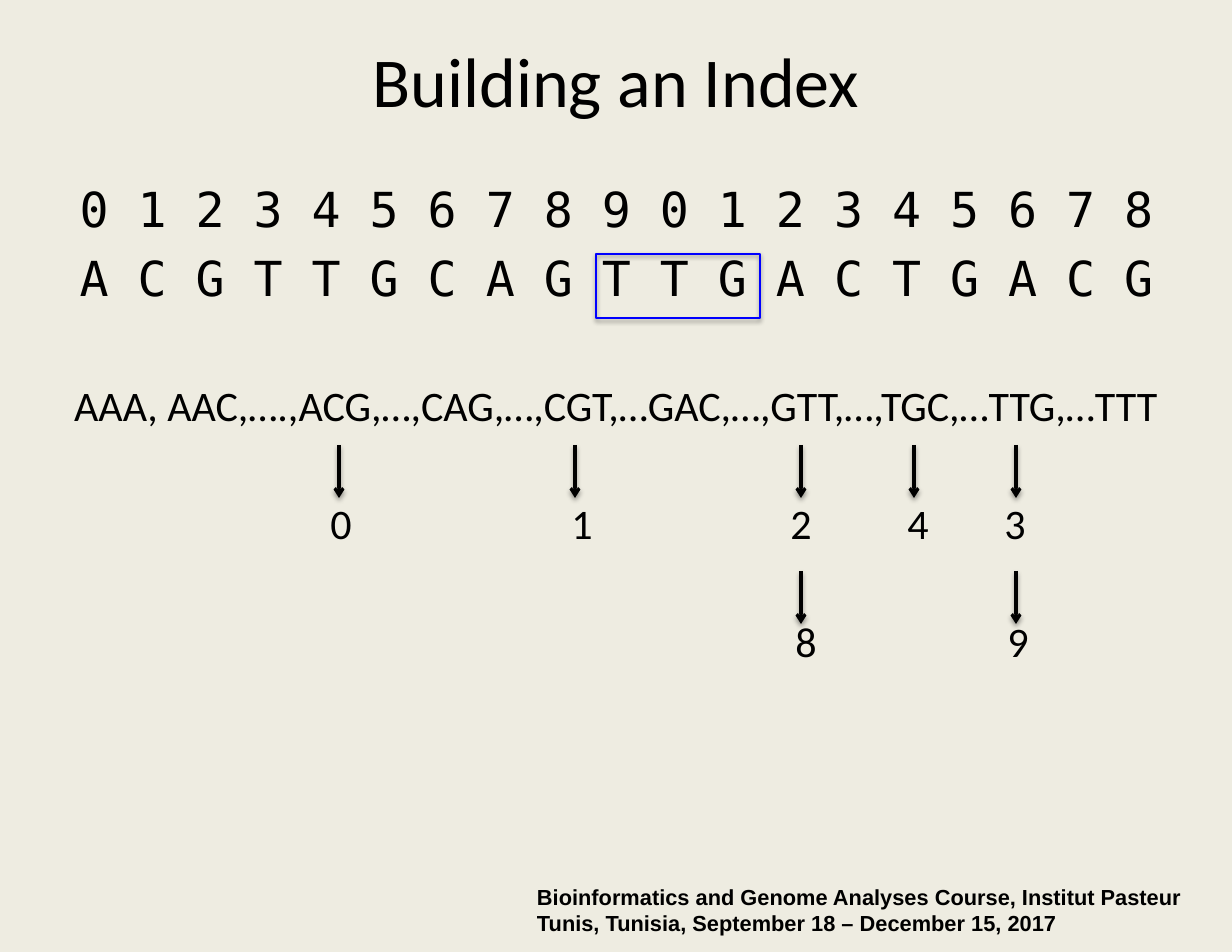
from typing import NamedTuple

from lxml import etree
from pptx import Presentation
from pptx import util as u
from pptx.dml.color import RGBColor
from pptx.enum import shapes, text
from pptx.oxml import ns

EMU_PER_PX = 914400 / 112
COLORS = {"paper": "EEECE1", "ink": "000000", "window": "0000FF"}


class Label(NamedTuple):
    lines: tuple[str, ...]
    left: int
    top: int
    width: int
    height: int
    font: str
    size: int
    bold: bool = False
    align: text.PP_ALIGN = text.PP_ALIGN.CENTER
    anchor: text.MSO_ANCHOR = text.MSO_ANCHOR.TOP
    gap: float = 0


class Hit(NamedTuple):
    """Position of a k-mer in the sequence, hung below an arrow."""
    position: str
    arrow_x: int
    number_x: int
    row: int = 0


LABELS = (
    Label(("Bioinformatics and Genome Analyses Course, Institut Pasteur",
           "Tunis, Tunisia, September 18 – December 15, 2017"),
          537, 884, 682, 54, "Arial", 14, True, text.PP_ALIGN.LEFT),
    Label(("Building an Index",), 62, 0, 1108, 159, "Calibri", 45,
          anchor=text.MSO_ANCHOR.MIDDLE),
    Label(("0 1 2 3 4 5 6 7 8 9 0 1 2 3 4 5 6 7 8",
           "A C G T T G C A G T T G A C T G A C G"),
          62, 179, 1108, 124, "DejaVu Sans Mono", 31, gap=7.6),
    Label(("AAA, AAC,….,ACG,…,CAG,…,CGT,…GAC,…,GTT,…,TGC,…TTG,…TTT",),
          62, 379, 1108, 52, "Calibri", 27),
)
HITS = (
    Hit("0", 339, 341), Hit("1", 575, 582), Hit("2", 801, 801),
    Hit("4", 914, 918), Hit("3", 1016, 1015),
    Hit("8", 801, 806, 1), Hit("9", 1016, 1018, 1),
)
ARROW_TOPS = (445, 571)
ARROW_LENGTH = 53
NUMBER_TOP, ROW_PITCH, NUMBER_WIDTH = 497, 118, 60


def px(length: int) -> int:
    return round(length * EMU_PER_PX)


def color(name: str) -> RGBColor:
    return RGBColor.from_string(COLORS[name])


def add_label(slide, label: Label) -> None:
    box = slide.shapes.add_textbox(
        px(label.left), px(label.top), px(label.width), px(label.height))
    frame = box.text_frame
    frame_format = {
        "word_wrap": True, "vertical_anchor": label.anchor,
        "margin_left": 0, "margin_right": 0, "margin_top": 0, "margin_bottom": 0,
    }
    for attribute, value in frame_format.items():
        setattr(frame, attribute, value)
    font_format = {"name": label.font, "size": u.Pt(label.size), "bold": label.bold}
    for index, line in enumerate(label.lines):
        paragraph = frame.add_paragraph() if index else frame.paragraphs[0]
        paragraph.alignment = label.align
        paragraph.space_after = u.Pt(label.gap)
        run = paragraph.add_run()
        run.text = line
        for attribute, value in font_format.items():
            setattr(run.font, attribute, value)
        run.font.color.rgb = color("ink")


def add_shadow(properties, distance: float, opacity: int) -> None:
    """Append a soft shadow that falls straight down."""
    effects = etree.SubElement(properties, ns.qn("a:effectLst"))
    shadow = etree.SubElement(
        effects, ns.qn("a:outerShdw"), blurRad=str(u.Pt(3.1)),
        dist=str(u.Pt(distance)), dir="5400000", rotWithShape="0")
    shade = etree.SubElement(shadow, ns.qn("a:srgbClr"), val=COLORS["ink"])
    etree.SubElement(shade, ns.qn("a:alpha"), val=str(opacity * 1000))


def add_window(slide) -> None:
    """Outline the k-mer being looked up."""
    window = slide.shapes.add_shape(
        shapes.MSO_SHAPE.RECTANGLE, px(596), px(254), px(164), px(64))
    window.fill.background()
    window.line.color.rgb = color("window")
    window.line.width = u.Pt(1.5)
    add_shadow(window.element.spPr, 1.8, 35)


def add_arrow(slide, x: int, top: int) -> None:
    arrow = slide.shapes.add_connector(
        shapes.MSO_CONNECTOR.STRAIGHT, px(x), px(top), px(x), px(top + ARROW_LENGTH))
    arrow.line.color.rgb = color("ink")
    arrow.line.width = u.Pt(2)
    properties = arrow.element.spPr
    etree.SubElement(properties.find(ns.qn("a:ln")), ns.qn("a:tailEnd"), type="arrow")
    add_shadow(properties, 1.6, 38)


def add_hit(slide, hit: Hit) -> None:
    add_arrow(slide, hit.arrow_x, ARROW_TOPS[hit.row])
    add_label(slide, Label(
        (hit.position,), hit.number_x - NUMBER_WIDTH // 2,
        NUMBER_TOP + hit.row * ROW_PITCH, NUMBER_WIDTH, 52, "Calibri", 27))


def main() -> None:
    deck = Presentation()
    deck.slide_width, deck.slide_height = px(1232), px(952)
    slide = deck.slides.add_slide(deck.slide_layouts[6])
    slide.background.fill.solid()
    slide.background.fill.fore_color.rgb = color("paper")
    for label in LABELS:
        add_label(slide, label)
    add_window(slide)
    for hit in HITS:
        add_hit(slide, hit)
    deck.save("out.pptx")


if __name__ == "__main__":
    main()
